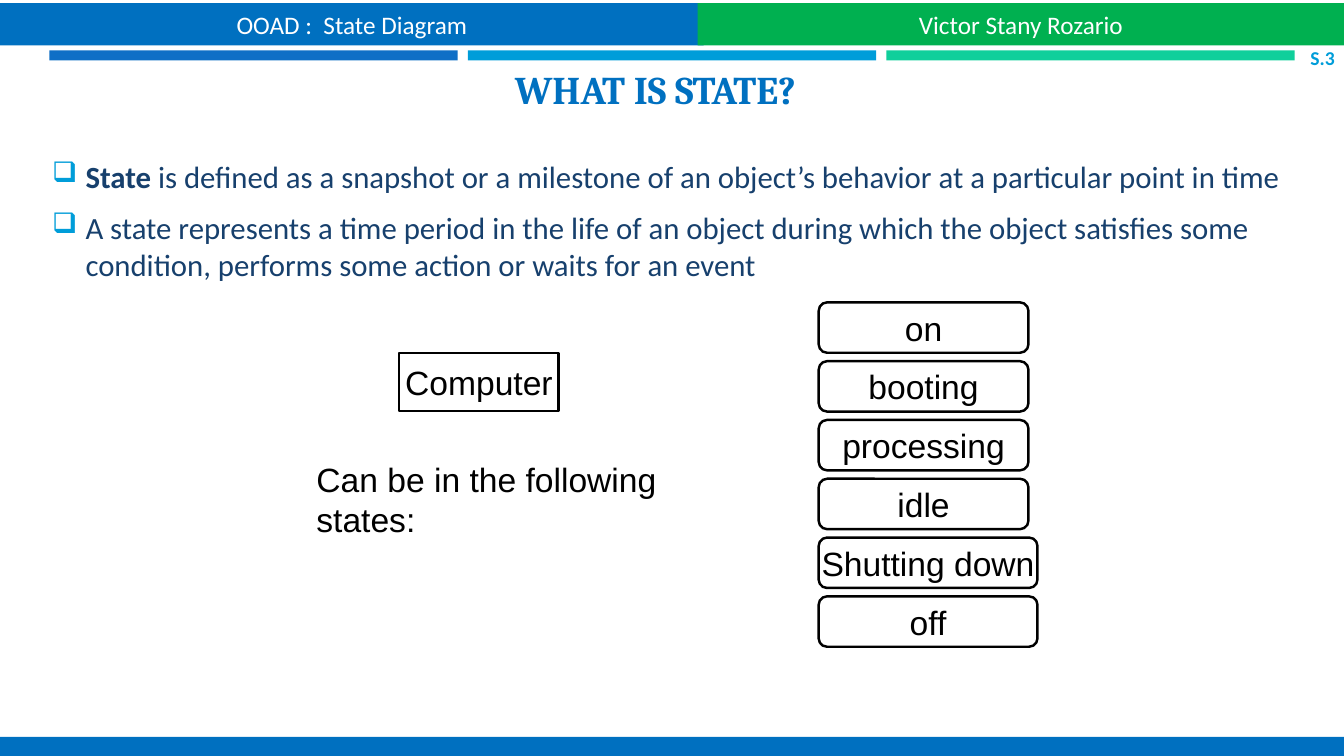
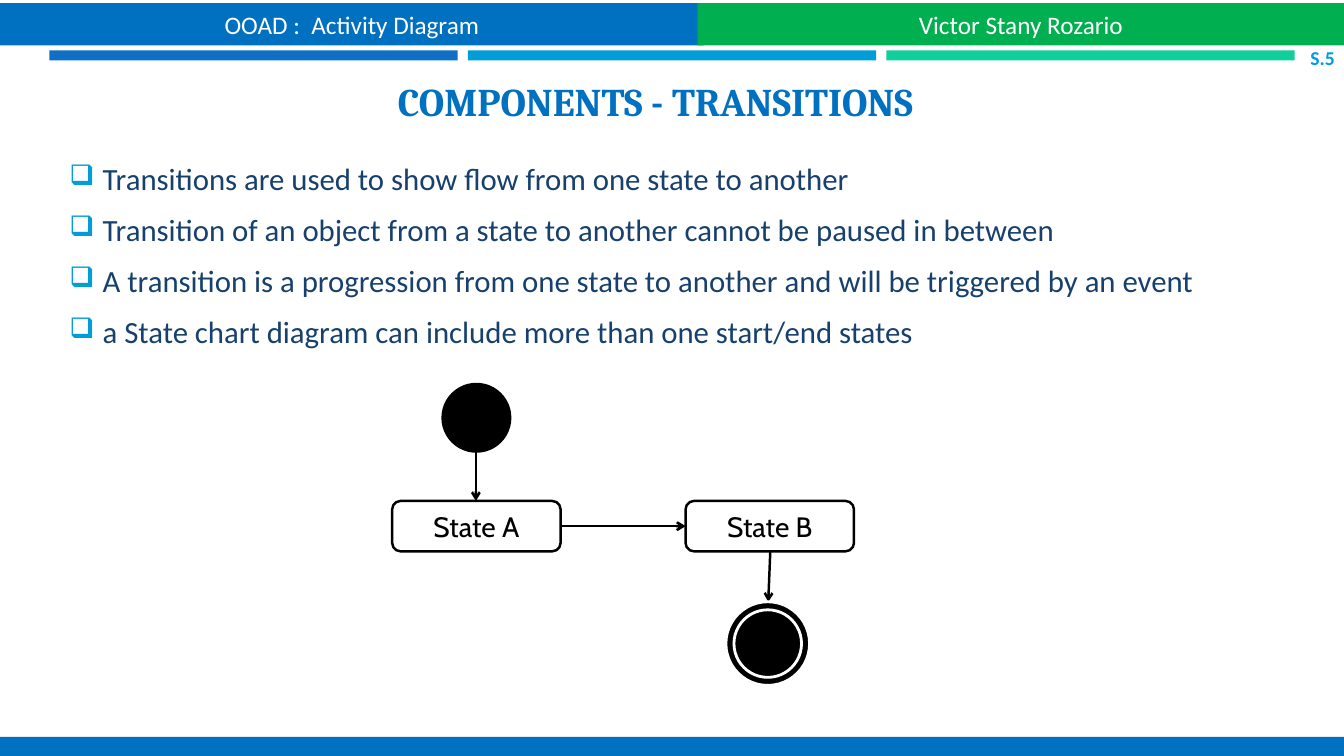
from lxml.etree import SubElement
from pptx import Presentation
from pptx.dml.color import RGBColor
from pptx.enum.shapes import MSO_CONNECTOR, MSO_SHAPE
from pptx.enum.text import MSO_ANCHOR, PP_ALIGN
from pptx.oxml.ns import qn
from pptx.util import Inches, Pt

# Colours
WHITE = RGBColor(0xFF, 0xFF, 0xFF)
BLACK = RGBColor(0x00, 0x00, 0x00)
BLUE = RGBColor(0x00, 0x70, 0xC0)
GREEN = RGBColor(0x00, 0xB0, 0x50)
NAVY = RGBColor(0x17, 0x40, 0x6D)
SKY = RGBColor(0x00, 0x9D, 0xD9)
STRIPES = [RGBColor(0x0F, 0x6F, 0xC6), SKY, RGBColor(0x10, 0xCF, 0x9B)]

LINE_WIDTH = 1.75
SLIDE_WIDTH = 13.33
AUTHOR = "Victor Stany Rozario"


def add_span(para, text, font, size, color, bold=False):
    span = para.add_run()
    span.text = text
    span.font.name = font
    span.font.size = Pt(size)
    span.font.color.rgb = color
    span.font.bold = bold


def add_figure(shapes, kind, area, fill, line=None, width=LINE_WIDTH):
    """Add a preset shape; area is left, top, width, height in inches."""
    box = shapes.add_shape(kind, *map(Inches, area))
    box.shadow.inherit = False
    box.fill.solid()
    box.fill.fore_color.rgb = fill
    if line is None:
        box.line.fill.background()
    else:
        box.line.color.rgb = line
        box.line.width = Pt(width)
    return box


def add_label(box, text, font, size, color, wrap=True):
    frame = box.text_frame
    frame.word_wrap = wrap
    frame.vertical_anchor = MSO_ANCHOR.MIDDLE
    para = frame.paragraphs[0]
    para.alignment = PP_ALIGN.CENTER
    add_span(para, text, font, size, color)


def add_text(page, area, anchor=MSO_ANCHOR.TOP, align=PP_ALIGN.LEFT):
    """Add a wrapping text box and return its frame."""
    frame = page.shapes.add_textbox(*map(Inches, area)).text_frame
    frame.word_wrap = True
    frame.vertical_anchor = anchor
    frame.paragraphs[0].alignment = align
    return frame


def add_band(page, area, fill, text=None):
    band = add_figure(page.shapes, MSO_SHAPE.RECTANGLE, area, fill)
    if text:
        add_label(band, text, "Calibri", 18, WHITE)


def add_bullets(page, area, items):
    """Each item is a list of (text, bold) pairs."""
    frame = add_text(page, area, MSO_ANCHOR.MIDDLE)
    for index, item in enumerate(items):
        para = frame.add_paragraph() if index else frame.paragraphs[0]
        para.space_before = Pt(4)
        para.space_after = Pt(6)
        props = para._p.get_or_add_pPr()
        props.set("marL", str(Inches(0.33)))
        props.set("indent", str(-Inches(0.33)))
        color = SubElement(props, qn("a:buClr"))
        SubElement(color, qn("a:srgbClr")).set("val", str(SKY))
        SubElement(props, qn("a:buSzPct")).set("val", "92000")
        SubElement(props, qn("a:buChar")).set("char", "❑")
        for text, bold in item:
            add_span(para, text, "Calibri", 22, NAVY, bold)


def add_node(page, area, text, font, size, kind=MSO_SHAPE.ROUNDED_RECTANGLE):
    node = add_figure(page.shapes, kind, area, WHITE, BLACK)
    add_label(node, text, font, size, BLACK, wrap=False)


def add_arrow(page, start, end):
    arrow = page.shapes.add_connector(
        MSO_CONNECTOR.STRAIGHT, *map(Inches, (*start, *end)))
    arrow.line.color.rgb = BLACK
    arrow.line.width = Pt(LINE_WIDTH)
    SubElement(arrow.line._get_or_add_ln(), qn("a:tailEnd")).set("type", "arrow")
    SubElement(arrow._element.spPr, qn("a:effectLst"))


def add_page(deck, topic, number, title, title_area):
    """Add a page with the shared bands, number and title."""
    page = deck.slides.add_slide(deck.slide_layouts[6])
    for index, color in enumerate(STRIPES):
        add_band(page, (0.49 + index * 4.15, 0.5, 4.05, 0.1), color)
    add_band(page, (0, 7.31, SLIDE_WIDTH, 0.24), BLUE)
    add_band(page, (0, 0.03, 6.98, 0.42), BLUE, topic)
    add_band(page, (6.92, 0.03, 6.41, 0.42), GREEN, AUTHOR)

    frame = add_text(page, (12.8, 0.42, 0.44, 0.3), MSO_ANCHOR.MIDDLE, PP_ALIGN.RIGHT)
    frame.margin_left = frame.margin_right = 0
    add_span(frame.paragraphs[0], f"S.{number}", "Calibri", 14, SKY, True)

    frame = add_text(page, title_area, MSO_ANCHOR.BOTTOM, PP_ALIGN.CENTER)
    add_span(frame.paragraphs[0], title, "Cambria", 28, BLUE, True)
    return page


def add_state_page(deck):
    page = add_page(deck, "OOAD :  State Diagram", 3, "WHAT IS STATE?",
                    (0.47, 0.59, 12.06, 0.57))
    add_bullets(page, (0.42, 1.37, 12.53, 1.63), [
        [("State", True),
         (" is defined as a snapshot or a milestone of an object’s behavior "
          "at a particular point in time", False)],
        [("A state represents a time period in the life of an object during "
          "which the object satisfies some condition, performs some action "
          "or waits for an event", False)],
    ])

    # Object and its states
    add_node(page, (3.96, 3.5, 1.58, 0.58), "Computer", "Arial", 24,
             MSO_SHAPE.RECTANGLE)
    frame = add_text(page, (3.04, 4.5, 4.33, 0.5))
    add_span(frame.paragraphs[0], "Can be in the following states:",
             "Arial", 24, BLACK)
    states = [("on", 2.08), ("booting", 2.08), ("processing", 2.08),
              ("idle", 2.08), ("Shutting down", 2.17), ("off", 2.17)]
    for index, (state, width) in enumerate(states):
        add_node(page, (8.12, 3 + index * 7 / 12, width, 0.5), state, "Arial", 24)


def add_transition_page(deck):
    page = add_page(deck, "OOAD :  Activity Diagram", 5,
                    "COMPONENTS - TRANSITIONS", (0.47, 0.64, 12.06, 0.64))
    lines = [
        "Transitions are used to show flow from one state to another",
        "Transition of an object from a state to another cannot be paused in between",
        "A transition is a progression from one state to another and will be "
        "triggered by an event",
        "a State chart diagram can include more than one start/end states",
    ]
    add_bullets(page, (0.59, 1.32, 12.27, 2.42), [[(line, False)] for line in lines])

    # States
    for left, name in ((3.89, "State A"), (6.8, "State B")):
        add_node(page, (left, 4.97, 1.67, 0.5), name, "Cabin", 20)

    # Start state and transitions
    add_figure(page.shapes, MSO_SHAPE.OVAL, (4.39, 3.81, 0.67, 0.67), BLACK, BLACK)
    add_arrow(page, (4.72, 4.14), (4.72, 4.97))
    add_arrow(page, (7.64, 5.47), (7.62, 5.97))
    add_arrow(page, (5.55, 5.22), (6.8, 5.22))

    # End state
    end_state = page.shapes.add_group_shape()
    for area in ((7.2, 5.97, 0.83, 0.83), (7.28, 6.05, 0.67, 0.67)):
        add_figure(end_state.shapes, MSO_SHAPE.OVAL, area, BLACK, WHITE, 2)


def main():
    deck = Presentation()
    deck.slide_width = Inches(SLIDE_WIDTH)
    deck.slide_height = Inches(7.5)
    add_state_page(deck)
    add_transition_page(deck)
    deck.save("out.pptx")


if __name__ == "__main__":
    main()
